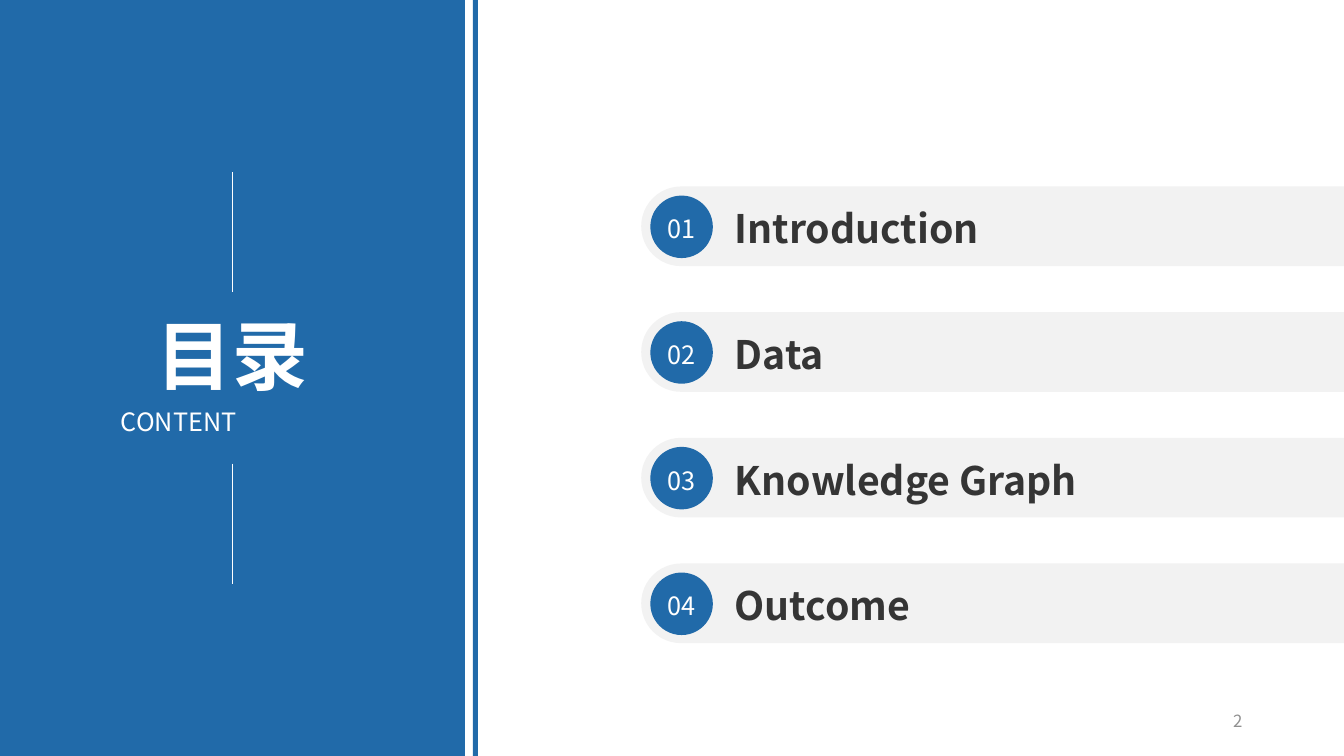
from dataclasses import dataclass

from lxml.etree import SubElement
from pptx import Presentation
from pptx.dml.color import RGBColor
from pptx.enum.shapes import MSO_CONNECTOR, MSO_SHAPE
from pptx.enum.text import MSO_ANCHOR, PP_ALIGN
from pptx.oxml.ns import qn
from pptx.util import Inches, Pt


@dataclass(frozen=True)
class Theme:
    face: str = "Noto Sans CJK SC"
    blue: RGBColor = RGBColor.from_string("216AA9")
    bar: RGBColor = RGBColor.from_string("F2F2F2")
    white: RGBColor = RGBColor.from_string("FFFFFF")
    ink: RGBColor = RGBColor.from_string("353535")
    grey: RGBColor = RGBColor.from_string("909090")
    head: Pt = Pt(54)
    item: Pt = Pt(28)
    body: Pt = Pt(18)
    note: Pt = Pt(12)


theme = Theme()
deck = Presentation()
deck.slide_width, deck.slide_height = Inches(13.33), Inches(7.5)
slide = deck.slides.add_slide(deck.slide_layouts[5])
shapes = slide.shapes


def draw(kind, box, fill):
    shape = shapes.add_shape(kind, *map(Inches, box))
    shape.shadow.inherit = False
    shape.fill.solid()
    shape.fill.fore_color.rgb = fill
    shape.line.fill.background()
    return shape


def write(box, text, size, color, align, bold=False, inset=(0, 0),
          anchor=MSO_ANCHOR.TOP, wrap=True, shape=None):
    shape = shape or shapes.add_textbox(0, 0, 0, 0)
    shape.left, shape.top, shape.width, shape.height = map(Inches, box)
    side, edge = map(Inches, inset)
    frame = shape.text_frame
    form = {"margin_left": side, "margin_right": side, "margin_top": edge,
            "margin_bottom": edge, "vertical_anchor": anchor, "word_wrap": wrap}
    for name, value in form.items():
        setattr(frame, name, value)
    para = frame.paragraphs[0]
    para.alignment = align
    run = para.add_run()
    run.text = text
    for name, value in {"name": theme.face, "size": size, "bold": bold}.items():
        setattr(run.font, name, value)
    run.font.color.rgb = color
    SubElement(run.font._element, qn("a:ea"), typeface=theme.face)


# Agenda rows
topics = ["Introduction", "Data", "Knowledge Graph", "Outcome"]
first, pitch = 1.85, 3.74 / 3
for row, topic in enumerate(topics):
    top = first + row * pitch
    bar = draw(MSO_SHAPE.ROUNDED_RECTANGLE, (6.36, top, 7.73, 0.79), theme.bar)
    bar.adjustments[0] = 0.5
    draw(MSO_SHAPE.OVAL, (6.45, top + 0.09, 0.62, 0.62), theme.blue)
    write((7.19, top + 0.13, 4.82, 0.57), topic, theme.item, theme.ink,
          PP_ALIGN.LEFT, bold=True, inset=(0.1, 0.05))
    write((6.41, top + 0.16, 0.7, 0.52), f"{row + 1:02}", theme.body,
          theme.white, PP_ALIGN.CENTER, anchor=MSO_ANCHOR.MIDDLE)

# Blue panel and stripe
for left, width in [(0, 4.61), (4.69, 0.05)]:
    draw(MSO_SHAPE.RECTANGLE, (left, 0, width, 7.5), theme.blue)

# Title, raised above the panel
title = shapes.title
title.element.getparent().append(title.element)
write((1.55, 3.06, 1.51, 0.91), "目录", theme.head, theme.white,
      PP_ALIGN.CENTER, bold=True, wrap=False, shape=title)
write((1.2, 4.03, 2.2, 0.3), "CONTENT", theme.body, theme.white,
      PP_ALIGN.JUSTIFY)

# Rules above and below the title
for top in (1.71, 4.6):
    rule = shapes.add_connector(MSO_CONNECTOR.STRAIGHT, Inches(2.3), Inches(top),
                                Inches(2.3), Inches(top + 1.19))
    rule.line.color.rgb = theme.white
    rule.line.width = Pt(0.5)
    SubElement(rule.element.spPr, qn("a:effectLst"))

# Page number
write((9.42, 6.95, 3, 0.4), "2", theme.note, theme.grey, PP_ALIGN.RIGHT,
      inset=(0.1, 0.05), anchor=MSO_ANCHOR.MIDDLE)

deck.save("out.pptx")
